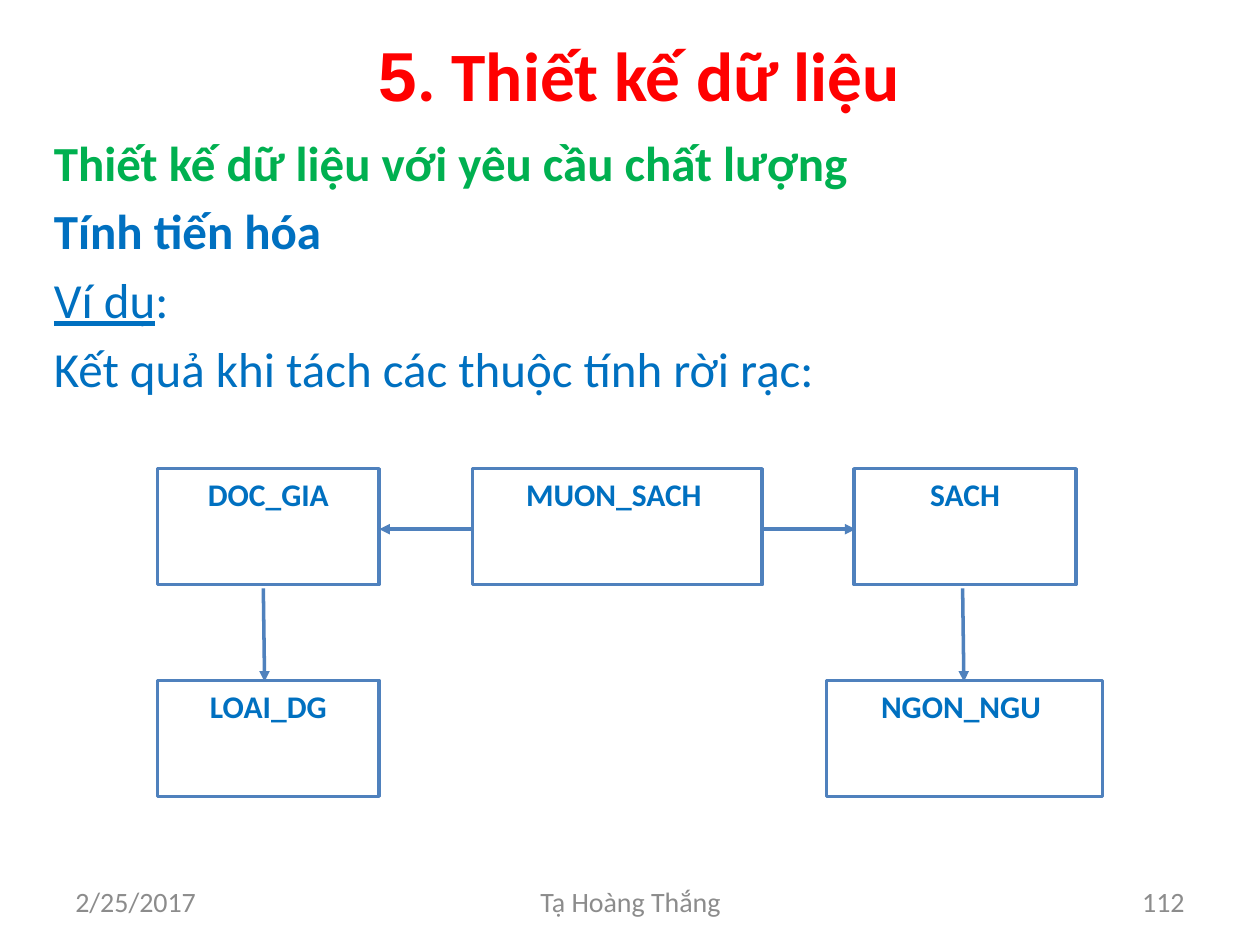
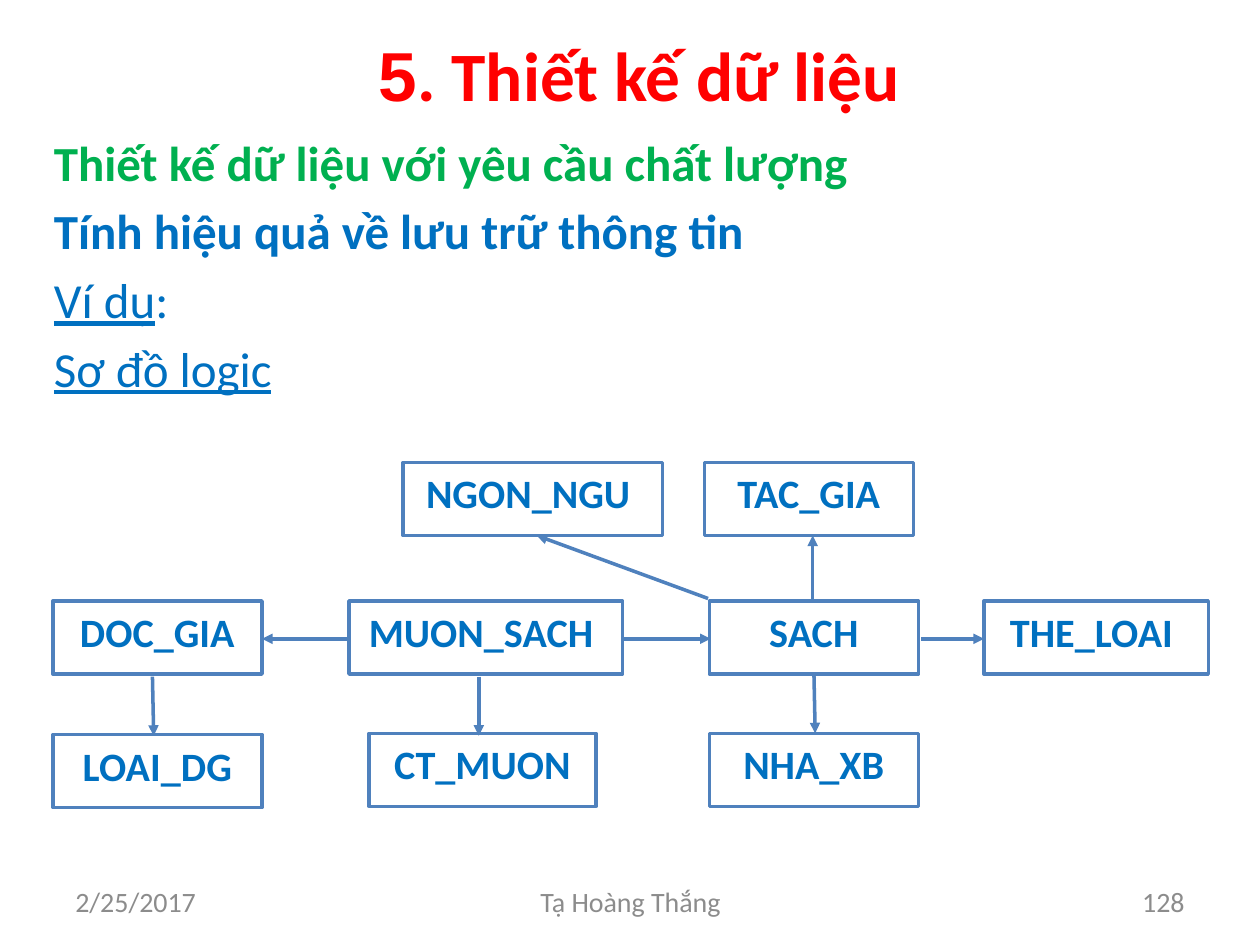
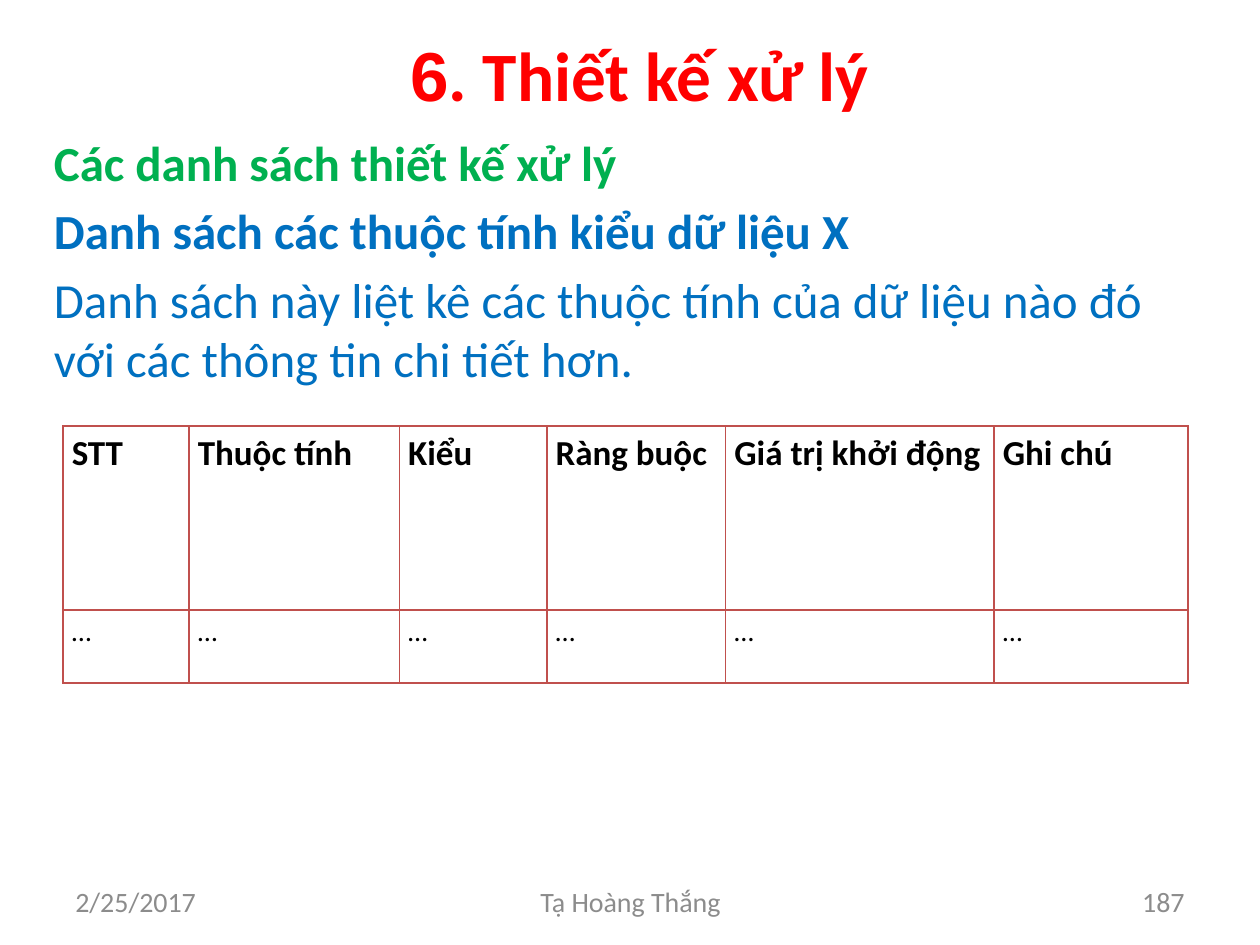
from lxml import etree
from pptx import Presentation
from pptx.dml.color import RGBColor
from pptx.enum.shapes import MSO_CONNECTOR, MSO_SHAPE
from pptx.enum.text import MSO_ANCHOR, MSO_AUTO_SIZE, PP_ALIGN
from pptx.oxml.ns import qn
from pptx.util import Inches, Pt

LEFT, CENTER, RIGHT, JUSTIFY = PP_ALIGN.LEFT, PP_ALIGN.CENTER, PP_ALIGN.RIGHT, PP_ALIGN.JUSTIFY
TOP, MIDDLE = MSO_ANCHOR.TOP, MSO_ANCHOR.MIDDLE
NO_AUTOFIT = MSO_AUTO_SIZE.NONE
RECTANGLE = MSO_SHAPE.RECTANGLE
STRAIGHT = MSO_CONNECTOR.STRAIGHT

RED, GREEN, BLUE, GRAY = "FF0000", "00B050", "0070C0", "8C8C8C"
BLACK, WHITE, OUTLINE, TABLE_LINE = "000000", "FFFFFF", "4F81BD", "C0504D"

TITLE = {"name": "Calibri", "size": Pt(39.6), "bold": True, "color": RED}
TITLE_NUMBER = TITLE | {"name": "Arial"}
BODY = {"name": "Calibri", "size": Pt(28), "bold": False, "color": BLUE}
UNDERLINED = BODY | {"underline": True}
TOPIC = BODY | {"bold": True}
SECTION = TOPIC | {"color": GREEN}
FOOTER = {"name": "Calibri", "size": Pt(16), "color": GRAY}
HEADER_CELL = {"name": "Calibri", "size": Pt(20), "bold": True, "color": BLACK}
BODY_CELL = HEADER_CELL | {"size": Pt(16), "bold": False}

DATE, AUTHOR = "2/25/2017", "Tạ Hoàng Thắng"
DATA_DESIGN = "Thiết kế dữ liệu"
QUALITY = [("Thiết kế dữ liệu với yêu cầu chất lượng", SECTION)]
EXAMPLE = [("Ví dụ", UNDERLINED), (":", BODY)]


def rgb(value):
    return RGBColor.from_string(value)


def write_paragraph(paragraph, runs, alignment=LEFT):
    """Fill a paragraph with (text, format) runs."""
    paragraph.alignment = alignment
    for text, style in runs:
        run = paragraph.add_run()
        run.text = text
        for name, value in style.items():
            if name == "color":
                run.font.color.rgb = rgb(value)
            else:
                setattr(run.font, name, value)


class Deck:
    def __init__(self):
        self.presentation = Presentation()
        self.presentation.slide_width = Inches(10)
        self.presentation.slide_height = Inches(7.5)
        self.slide = None

    def add_slide(self, chapter, title, page, body):
        """Start a slide with its title, body paragraphs and footer."""
        layout = self.presentation.slide_layouts.get_by_name("Title Only")
        self.slide = self.presentation.slides.add_slide(layout)
        shape = self.slide.shapes.title
        shape.left, shape.top = Inches(0.5), Inches(0.25)
        shape.width, shape.height = Inches(9), Inches(0.67)
        shape.text_frame.auto_size = NO_AUTOFIT
        shape.text_frame.vertical_anchor = MIDDLE
        runs = [(f" {chapter}", TITLE_NUMBER), (f". {title}", TITLE)]
        write_paragraph(shape.text_frame.paragraphs[0], runs, CENTER)

        self.text(0.33, 1, 9.33, 6.08, body, space_before=Pt(5.6))
        for left, width, text, alignment in [
            (0.5, 2.33, DATE, LEFT),
            (7.17, 2.33, page, RIGHT),
            (3.42, 3.17, AUTHOR, CENTER),
        ]:
            self.text(left, 6.95, width, 0.4, [[(text, FOOTER)]], alignment, MIDDLE)

    def text(self, left, top, width, height, paragraphs, alignment=LEFT,
             anchor=TOP, space_before=Pt(0)):
        box = self.slide.shapes.add_textbox(
            Inches(left), Inches(top), Inches(width), Inches(height))
        frame = box.text_frame
        frame.word_wrap = True
        frame.vertical_anchor = anchor
        for index, runs in enumerate(paragraphs):
            paragraph = frame.add_paragraph() if index else frame.paragraphs[0]
            paragraph.space_before = space_before
            write_paragraph(paragraph, runs, alignment)

    def entity(self, name, left, top, width, height, size):
        shape = self.slide.shapes.add_shape(
            RECTANGLE, Inches(left), Inches(top), Inches(width), Inches(height))
        shape.shadow.inherit = False
        shape.fill.solid()
        shape.fill.fore_color.rgb = rgb(WHITE)
        shape.line.color.rgb = rgb(OUTLINE)
        shape.line.width = Pt(2)
        shape.text_frame.word_wrap = True
        shape.text_frame.vertical_anchor = TOP
        style = TOPIC | {"size": Pt(size)}
        write_paragraph(shape.text_frame.paragraphs[0], [(name, style)], CENTER)

    def arrow(self, *ends):
        """Draw an arrow from x, y to x, y."""
        connector = self.slide.shapes.add_connector(STRAIGHT, *map(Inches, ends))
        connector.line.color.rgb = rgb(OUTLINE)
        connector.line.width = Pt(2)
        properties = connector.element.find(qn("p:spPr"))
        etree.SubElement(properties.find(qn("a:ln")), qn("a:tailEnd"), type="triangle")
        etree.SubElement(properties, qn("a:effectLst"))

    def diagram(self, entities, arrows, height, size):
        for name, left, top, width in entities:
            self.entity(name, left, top, width, height, size)
        for ends in arrows:
            self.arrow(*ends)

    def table(self, left, top, widths, heights, rows, styles):
        frame = self.slide.shapes.add_table(
            len(heights), len(widths), Inches(left), Inches(top),
            Inches(sum(widths)), Inches(sum(heights)))
        table = frame.table
        table.first_row = table.horz_banding = False
        for column, width in zip(table.columns, widths):
            column.width = Inches(width)
        for row, height, texts, style in zip(table.rows, heights, rows, styles):
            row.height = Inches(height)
            for cell, text in zip(row.cells, texts):
                self.cell(cell, text, style)

    def cell(self, cell, text, style):
        cell.fill.background()
        cell.margin_left = cell.margin_right = Inches(0.07)
        cell.margin_top = cell.margin_bottom = 0
        paragraph = cell.text_frame.paragraphs[0]
        paragraph.line_spacing = 1.15
        write_paragraph(paragraph, [(text, style)], JUSTIFY)
        properties = cell._tc.get_or_add_tcPr()
        for index, side in enumerate(("lnL", "lnR", "lnT", "lnB")):
            border = etree.Element(qn(f"a:{side}"), w=str(Pt(1)))
            fill = etree.SubElement(border, qn("a:solidFill"))
            etree.SubElement(fill, qn("a:srgbClr"), val=TABLE_LINE)
            properties.insert(index, border)


def add_evolution_slide(deck):
    deck.add_slide(5, DATA_DESIGN, "112", [
        QUALITY,
        [("Tính tiến hóa", TOPIC)],
        EXAMPLE,
        [("Kết quả khi tách các thuộc tính rời rạc:", BODY)],
    ])
    upper, lower = 3.72, 5.4
    entities = [
        ("DOC_GIA", 1.25, upper, 1.76),
        ("MUON_SACH ", 3.75, upper, 2.3),
        ("SACH", 6.78, upper, 1.76),
        ("LOAI_DG", 1.25, lower, 1.76),
        ("NGON_NGU ", 6.56, lower, 2.19),
    ]
    arrows = [
        (6.05, 4.2, 6.79, 4.2),
        (3.75, 4.2, 3.01, 4.2),
        (2.09, 4.67, 2.1, 5.41),
        (7.64, 4.67, 7.65, 5.41),
    ]
    deck.diagram(entities, arrows, height=0.92, size=18)


def add_storage_slide(deck):
    deck.add_slide(5, DATA_DESIGN, "128", [
        QUALITY,
        [("Tính hiệu quả về lưu trữ thông tin", TOPIC)],
        EXAMPLE,
        [("Sơ đồ logic", UNDERLINED)],
    ])
    upper, middle, lower = 3.67, 4.77, 5.82
    entities = [
        ("NGON_NGU ", 3.2, upper, 2.06),
        ("TAC_GIA", 5.59, upper, 1.66),
        ("DOC_GIA", 0.42, middle, 1.66),
        ("MUON_SACH ", 2.77, middle, 2.17),
        ("SACH", 5.63, middle, 1.66),
        ("THE_LOAI ", 7.81, middle, 1.78),
        ("LOAI_DG", 0.42, 5.83, 1.66),
        ("CT_MUON", 2.93, lower, 1.8),
        ("NHA_XB", 5.63, lower, 1.66),
    ]
    arrows = [
        (7.31, 5.07, 7.81, 5.07),
        (4.94, 5.07, 5.64, 5.07),
        (2.77, 5.07, 2.08, 5.07),
        (5.62, 4.75, 4.26, 4.25),
        (6.45, 4.75, 6.45, 4.25),
        (6.46, 5.35, 6.47, 5.82),
        (1.21, 5.37, 1.22, 5.84),
        (3.8, 5.37, 3.8, 5.84),
    ]
    deck.diagram(entities, arrows, height=0.58, size=23)


def add_attribute_slide(deck):
    deck.add_slide(6, "Thiết kế xử lý", "187", [
        [("Các danh sách thiết kế xử lý", SECTION)],
        [("Danh sách các thuộc tính kiểu dữ liệu X", TOPIC)],
        [("Danh sách này liệt kê các thuộc tính của dữ liệu nào đó "
          "với các thông tin chi tiết hơn.", BODY)],
    ])
    headers = ["STT", "Thuộc tính", "Kiểu", "Ràng buộc", "Giá trị khởi động", "Ghi chú"]
    deck.table(
        0.5, 3.38, widths=[1, 1.67, 1.17, 1.42, 2.13, 1.54], heights=[1.46, 0.58],
        rows=[headers, ["…"] * len(headers)], styles=[HEADER_CELL, BODY_CELL])


def main():
    deck = Deck()
    add_evolution_slide(deck)
    add_storage_slide(deck)
    add_attribute_slide(deck)
    deck.presentation.save("out.pptx")


if __name__ == "__main__":
    main()
